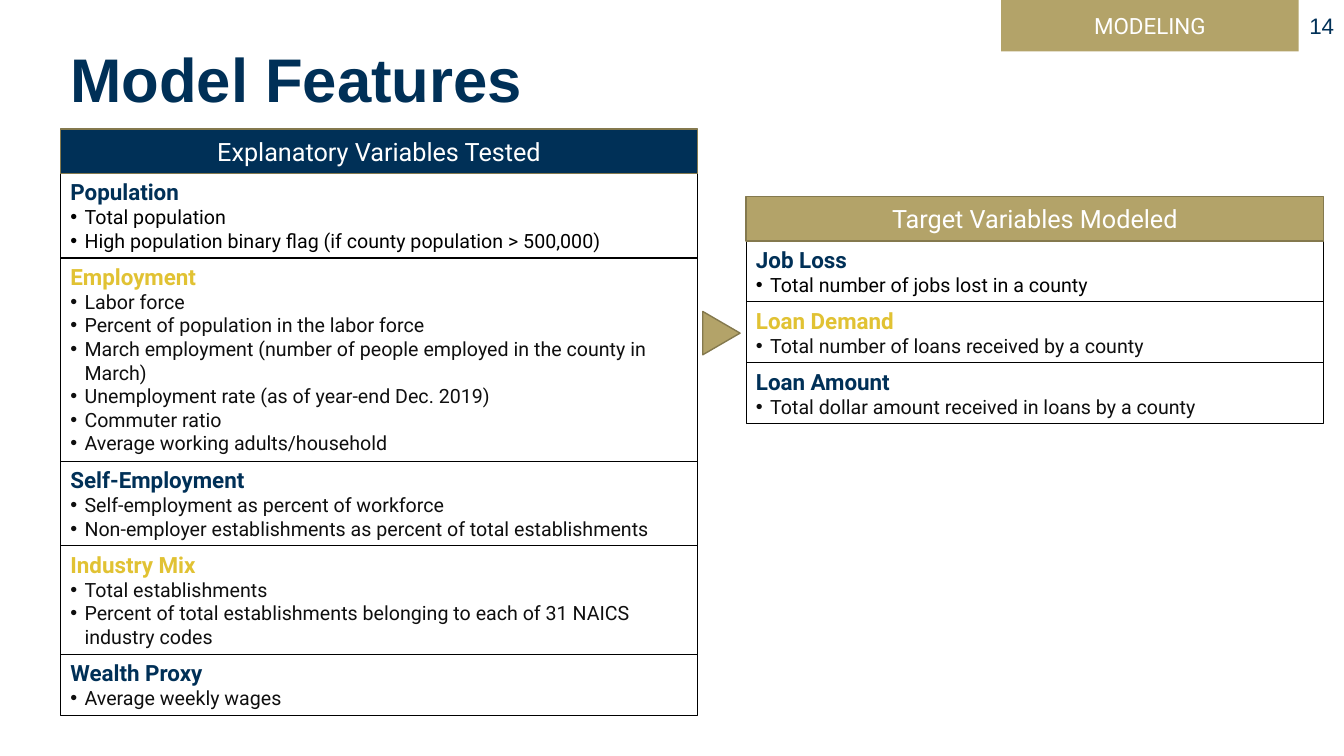
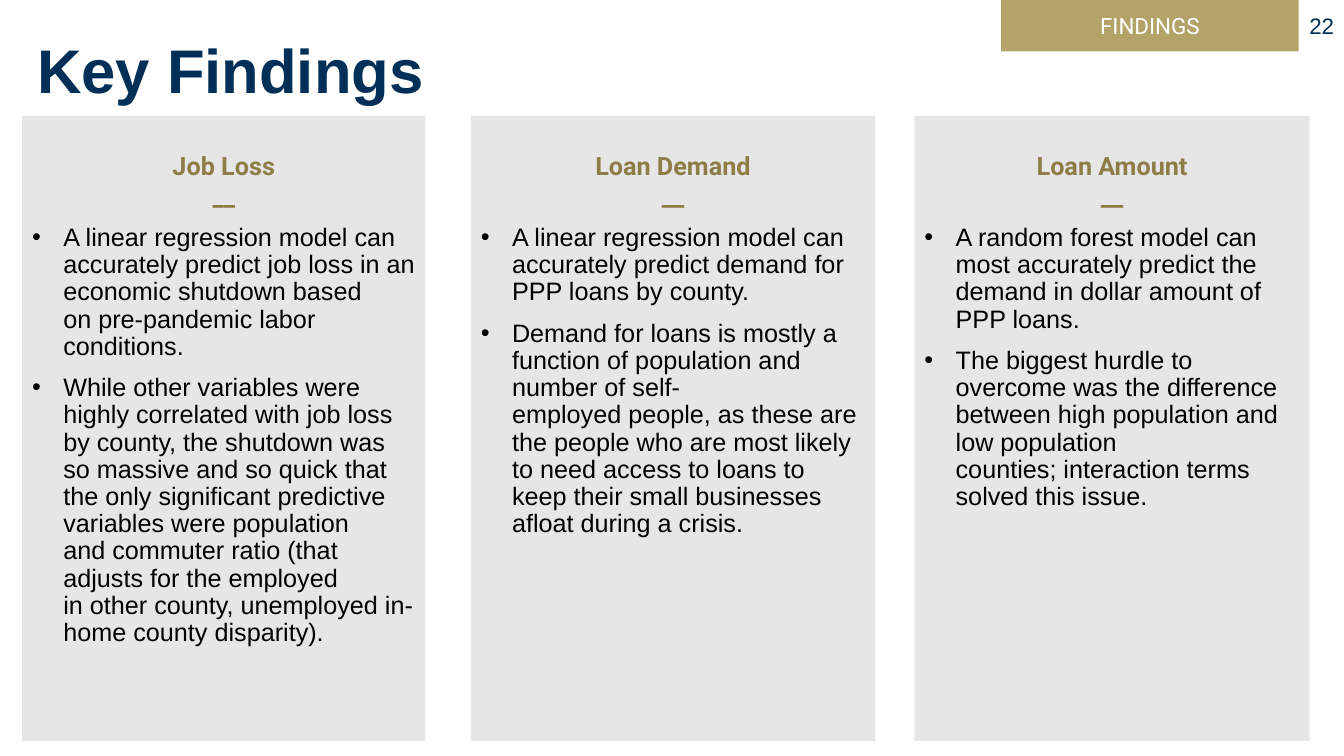
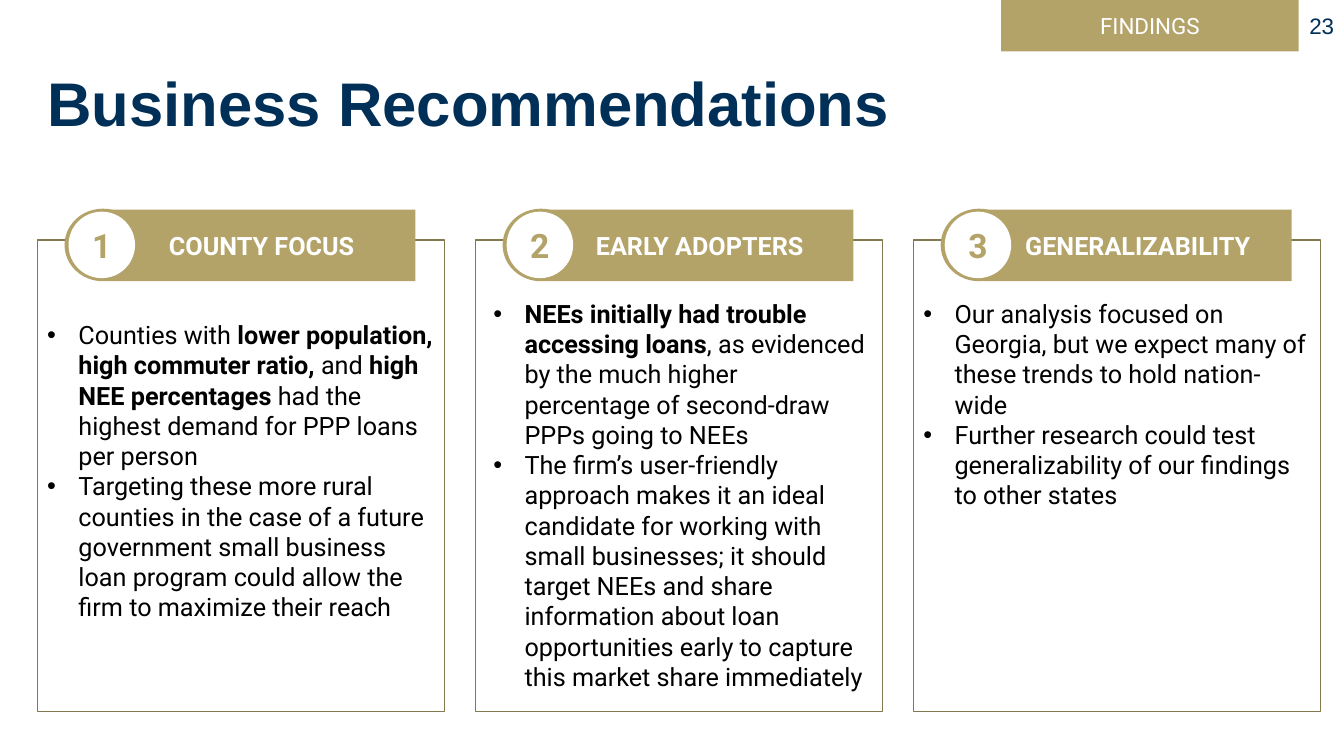
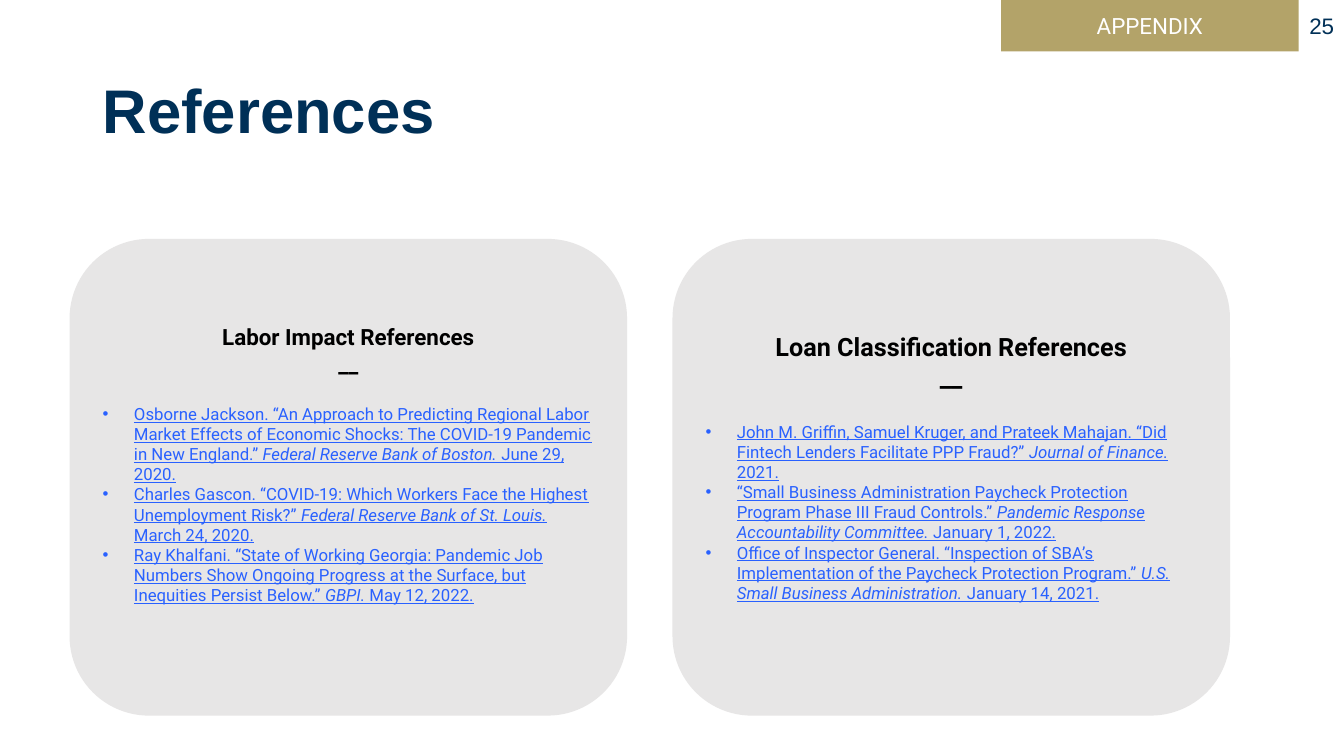
from lxml.etree import SubElement
from pptx import Presentation
from pptx.dml.color import RGBColor
from pptx.enum.shapes import MSO_SHAPE
from pptx.enum.text import MSO_ANCHOR, PP_ALIGN
from pptx.oxml.ns import qn
from pptx.util import Inches, Pt

COLORS = {
    "navy": "003057", "gold": "B3A369", "bronze": "84794E", "olive": "8D7E48",
    "yellow": "E1C233", "gray": "E7E6E6", "white": "FFFFFF", "black": "000000",
    "ink": "0F0F0F", "link": "2961FF",
}
WIDTH, HEIGHT = 13.33, 7.5
HARD_SPACE = chr(160)

PAGES = [
    ("Model Features", 0.6, 0.09, "MODELING", 14),
    ("Key Findings", 0.27, 0, "FINDINGS", 22),
    ("Business Recommendations", 0.37, 0.33, "FINDINGS", 23),
    ("References", 0.92, 0.4, "APPENDIX", 25),
]

FEATURE_LISTS = [
    ("Explanatory Variables Tested", "navy", 0.6, 1.28, 6.32, [
        ("Population", 2, [
            "Total population",
            "High population binary flag (if county population > 500,000)"]),
        ("Employment", 7, [
            "Labor force",
            "Percent of population in the labor force",
            "March employment (number of people employed in the county in March)",
            "Unemployment rate (as of year-end Dec. 2019)",
            "Commuter ratio",
            "Average working adults/household"]),
        ("Self-Employment", 2, [
            "Self-employment as percent of workforce",
            "Non-employer establishments as percent of total establishments"]),
        ("Industry Mix", 3, [
            "Total establishments",
            "Percent of total establishments belonging to each of 31 NAICS industry codes"]),
        ("Wealth Proxy", 1, ["Average weekly wages"]),
    ]),
    ("Target Variables Modeled", "gold", 7.4, 1.95, 5.73, [
        ("Job Loss", 1, ["Total number of jobs lost in a county"]),
        ("Loan Demand", 1, ["Total number of loans received by a county"]),
        ("Loan Amount", 1, ["Total dollar amount received in loans by a county"]),
    ]),
]

FINDINGS = [
    ("Job Loss", 0.22, 4, [
        "A linear regression model can accurately predict~job loss in an economic "
        "shutdown based on~pre-pandemic labor conditions.",
        "While other variables were highly correlated~with job loss by county,~the~shutdown "
        "was so~massive and so quick that the only significant~predictive variables were "
        "population and~commuter ratio (that adjusts for the employed in~other county, "
        "unemployed in-home county~disparity)."]),
    ("Loan Demand", 4.67, 4.01, [
        "A linear regression model can accurately~predict demand for PPP loans by county.",
        "Demand for loans is mostly a function of~population and number of "
        "self-employed~people, as these are the people who are~most likely to need access "
        "to loans to keep~their small businesses afloat during a crisis."]),
    ("Loan Amount", 9.07, 3.92, [
        "A random forest model can most~accurately predict the demand in dollar amount "
        "of PPP loans.",
        "The biggest hurdle to overcome~was the difference between high~population and "
        "low population counties;~interaction terms solved this issue."]),
]

RECOMMENDATIONS = [
    ("COUNTY FOCUS", 0, 3.12, 4.04, [
        ["Counties with ", "lower population, high commuter ratio, ", "and ",
         "high NEE percentages", " had the highest demand for PPP loans per person"],
        ["Targeting these more rural counties in the case of a future government small "
         "business loan program could allow the firm to maximize their reach"]]),
    ("EARLY ADOPTERS", 0.08, 2.91, 3.93, [
        ["", "NEEs initially had trouble accessing loans",
         ", as evidenced by the much higher percentage of second-draw PPPs going to NEEs"],
        ["The firm’s user-friendly approach makes it an ideal candidate for working with small "
         "businesses; it should target NEEs and share information about loan opportunities "
         "early to capture this market share immediately"]]),
    ("GENERALIZABILITY", 0, 2.91, 4.04, [
        ["Our analysis focused on Georgia, but we expect many of these trends to hold "
         "nation-wide"],
        ["Further research could test generalizability of our findings to other states"]]),
]

REFERENCES = [
    ("Labor Impact References", 16, 0.31, [
        ["Osborne Jackson. “An Approach to Predicting Regional Labor Market Effects of "
         "Economic Shocks: The COVID-19 Pandemic in New England.” ",
         "Federal Reserve Bank of Boston. ", "June 29, 2020."],
        ["Charles Gascon. “COVID-19: Which Workers Face the Highest Unemployment Risk?” ",
         "Federal Reserve Bank of St. Louis. ", "March 24, 2020."],
        ["Ray Khalfani. “State of Working Georgia: Pandemic Job Numbers Show Ongoing "
         "Progress at the Surface, but Inequities Persist Below.” ",
         "GBPI. ", "May 12, 2022."]]),
    ("Loan Classification References", 18, 0.25, [
        ["John M. Griffin, Samuel Kruger, and Prateek Mahajan. “Did Fintech Lenders "
         "Facilitate PPP Fraud?” ", "Journal of Finance. ", "2021."],
        ["“Small Business Administration Paycheck Protection Program Phase III Fraud "
         "Controls.” ", "Pandemic Response Accountability Committee. ", "January 1, 2022."],
        ["Office of Inspector General. “Inspection of SBA’s Implementation of the Paycheck "
         "Protection Program.” ", "U.S. Small Business Administration. ",
         "January 14, 2021."]]),
]


def color(name):
    return RGBColor.from_string(COLORS[name])


def add_box(page, area, fill=None, line=None, weight=1, kind=MSO_SHAPE.RECTANGLE):
    box = page.shapes.add_shape(kind, *map(Inches, area))
    box.shadow.inherit = False
    if fill:
        box.fill.solid()
        box.fill.fore_color.rgb = color(fill)
    else:
        box.fill.background()
    if line:
        box.line.color.rgb = color(line)
        box.line.width = Pt(weight)
    else:
        box.line.fill.background()
    return box


def style(text, size, tint, name="Roboto", bold=False, align=PP_ALIGN.LEFT, indent=0,
          emphasis="bold", underline=False, before=0, spacing=None):
    return dict(pieces=[text] if isinstance(text, str) else text, size=size, tint=tint,
                name=name, bold=bold, align=align, indent=indent, emphasis=emphasis,
                underline=underline, before=before, spacing=spacing)


def centered(text, size, tint, bold=False):
    return style(text, size, tint, bold=bold, align=PP_ALIGN.CENTER)


def write(box, paragraphs, anchor=MSO_ANCHOR.MIDDLE):
    frame = box.text_frame
    frame.word_wrap = True
    frame.vertical_anchor = anchor
    for index, look in enumerate(paragraphs):
        para = frame.paragraphs[0] if index == 0 else frame.add_paragraph()
        para.alignment = look["align"]
        if look["spacing"]:
            para.line_spacing = look["spacing"]
        if look["before"]:
            para.space_before = Pt(look["before"])
        if look["indent"]:
            properties = para._p.get_or_add_pPr()
            properties.set("marL", str(Inches(look["indent"])))
            properties.set("indent", str(-Inches(look["indent"])))
            SubElement(properties, qn("a:buFont"), typeface="Arial")
            SubElement(properties, qn("a:buChar"), char="•")
        font = para.font
        font.name, font.size, font.bold = look["name"], Pt(look["size"]), look["bold"]
        font.color.rgb = color(look["tint"])
        if look["underline"]:
            font.underline = True
        for position, piece in enumerate(look["pieces"]):
            if piece:
                span = para.add_run()
                span.text = piece.replace("~", HARD_SPACE)
                if position % 2:
                    setattr(span.font, look["emphasis"], True)


def add_text(page, area, paragraphs, anchor=MSO_ANCHOR.MIDDLE):
    write(page.shapes.add_textbox(*map(Inches, area)), paragraphs, anchor)


def add_page(deck, title, left, top, section, number):
    page = deck.slides.add_slide(deck.slide_layouts[6])
    add_text(page, (left, top, 11.5, 1.45),
             [style(title, 44, "navy", "Arial", bold=True, spacing=0.9)])
    write(add_box(page, (9.93, 0, 2.95, 0.51), "gold"), [centered(section, 16, "white")])
    add_text(page, (10.11, 0, WIDTH - 10.11, 0.51),
             [style(str(number), 16, "navy", "Arial", align=PP_ALIGN.RIGHT)])
    return page


def draw_features(page):
    header, base, row = 0.44, 0.37, 0.235
    for heading, fill, left, top, width, groups in FEATURE_LISTS:
        y = top + header
        for index, (name, lines, items) in enumerate(groups):
            height = base + row * lines
            box = add_box(page, (left, y, width, height), line="black", weight=0.75)
            tint = "ink" if index else "black"
            write(box, [style(name, 16, "yellow" if index % 2 else "navy", bold=True)]
                  + [style(item, 14, tint, indent=0.14) for item in items], MSO_ANCHOR.TOP)
            y += height
        write(add_box(page, (left, top, width, header), fill, "bronze"),
              [centered(heading, 18, "white")])
    arrow = add_box(page, (6.94, 3.12, 0.43, 0.37), "gold", "bronze",
                    kind=MSO_SHAPE.ISOSCELES_TRIANGLE)
    arrow.rotation = 90


def draw_findings(page):
    for heading, left, width, points in FINDINGS:
        card = add_box(page, (left, 1.15, width, 6.2), "gray")
        card.text_frame.margin_top = Inches(0.34)
        write(card, [centered(text, 18, "olive", bold=True) for text in (heading, "__")]
              + [style(point, 18, "black", "Arial", indent=0.31, before=10, spacing=0.9)
                 for point in points], MSO_ANCHOR.TOP)


def draw_recommendations(page):
    first, width = 0.37, 4.04
    pitch = (9.06 - first) / (len(RECOMMENDATIONS) - 1)
    for index, (heading, shift, top, text_width, points) in enumerate(RECOMMENDATIONS):
        left = first + index * pitch
        add_box(page, (left, 2.38, width, 4.68), line="bronze")
        add_box(page, (left + 0.27, 2.07, 0.76, 0.72), "gold", kind=MSO_SHAPE.OVAL)
        write(add_box(page, (left + 0.7, 2.08, 3.05, 0.71), "gold"),
              [centered(heading, 18, "white", bold=True)])
        disc = add_box(page, (left + 0.31, 2.1, 0.66, 0.66), "white", kind=MSO_SHAPE.OVAL)
        write(disc, [centered(str(index + 1), 24, "gold", bold=True)])
        add_text(page, (left + shift, top, text_width, 4),
                 [style(point, 18, "black", indent=0.31) for point in points],
                 MSO_ANCHOR.TOP)


def draw_references(page):
    for index, (heading, size, bottom, sources) in enumerate(REFERENCES):
        card = add_box(page, (0.69 + index * 5.98, 2.37, 5.53, 4.73), "gray",
                       kind=MSO_SHAPE.ROUNDED_RECTANGLE)
        card.text_frame.margin_bottom = Inches(bottom)
        write(card, [centered(text, size, "black", bold=True) for text in (heading, "__")]
              + [style(source, 12, "link", indent=0.31, emphasis="italic", underline=True,
                       before=0 if place else size + 3)
                 for place, source in enumerate(sources)])


def main():
    deck = Presentation()
    deck.slide_width, deck.slide_height = Inches(WIDTH), Inches(HEIGHT)
    painters = [draw_features, draw_findings, draw_recommendations, draw_references]
    for details, draw in zip(PAGES, painters):
        draw(add_page(deck, *details))
    deck.save("out.pptx")


if __name__ == "__main__":
    main()
